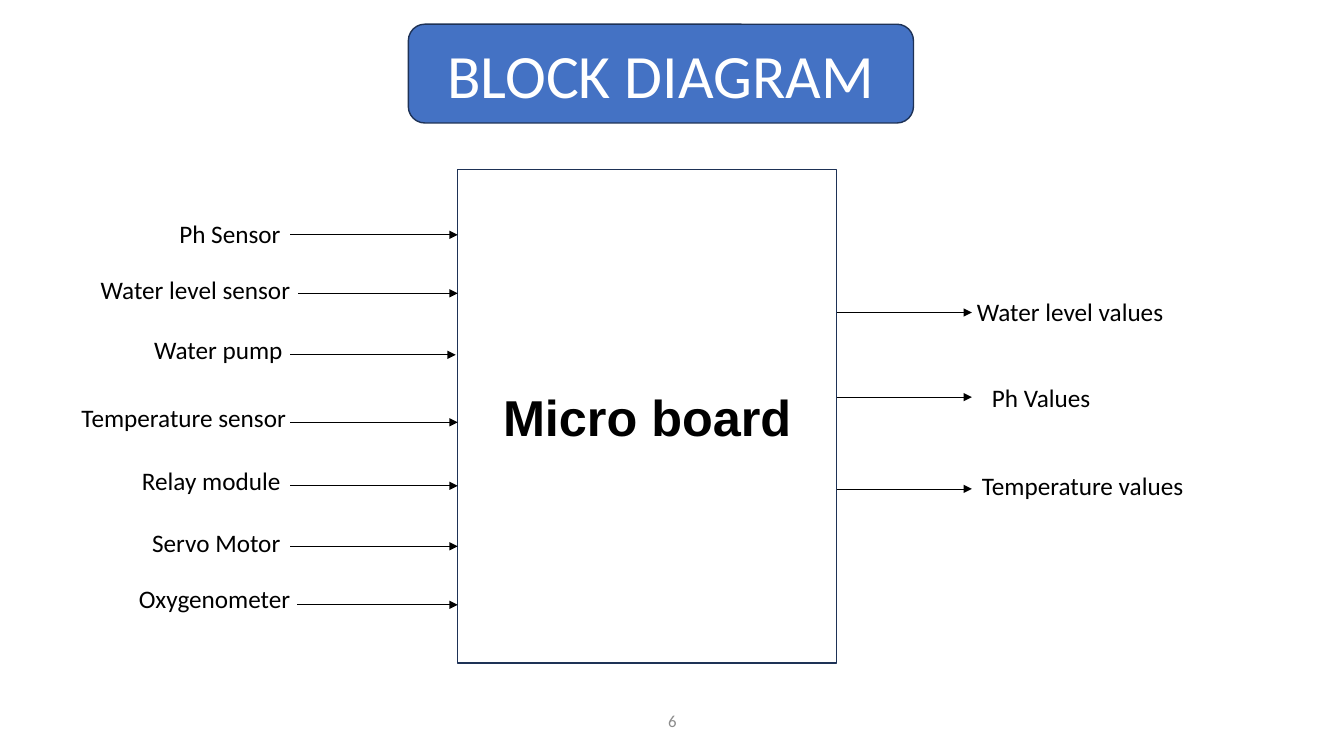
from lxml import etree
from pptx import Presentation
from pptx.dml.color import RGBColor
from pptx.enum import shapes, text
from pptx.oxml.ns import qn
from pptx.util import Inches, Pt

COLORS = {"black": "000000", "white": "FFFFFF", "blue": "4472C4",
          "navy": "1E3256", "gray": "8C8C8C"}

TITLE, BOARD, PAGE = "BLOCK DIAGRAM", "Micro board", "6"
TITLE_BOX = (4.05, 0.24, 5.01, 0.98)
BOARD_BOX = (4.54, 1.68, 3.76, 4.9)
PAGE_BOX = (4.42, 6.95, 4.5, 0.4)
LABEL_H = 0.4
OUTPUT_END = 9.64

# label, left, top, width, arrow start x, arrow end x, arrow y
INPUTS = [
    ("Ph Sensor", 1.68, 2.12, 1.22, 2.88, 4.54, 2.33),
    ("Water level sensor", 0.9, 2.67, 2.1, 2.96, 4.54, 2.91),
    ("Water pump", 1.43, 3.27, 1.49, 2.88, 4.52, 3.52),
    ("Temperature sensor", 0.71, 3.94, 2.25, 2.88, 4.54, 4.19),
    ("Relay module", 1.31, 4.57, 1.59, 2.88, 4.54, 4.82),
    ("Servo Motor", 1.41, 5.18, 1.49, 2.88, 4.54, 5.42),
    ("Oxygenometer", 1.28, 5.74, 1.72, 2.95, 4.54, 6.0),
]
# label, left, top, width, arrow y
OUTPUTS = [
    ("Water level values", 9.59, 2.89, 2.07, 3.1),
    ("Ph Values", 9.74, 3.74, 1.19, 3.94),
    ("Temperature values", 9.64, 4.62, 2.22, 4.85),
]


def rgb(name):
    return RGBColor.from_string(COLORS[name])


def write(sp, words, size, color="black", font="Calibri", bold=False, centered=True):
    tf = sp.text_frame
    p = tf.paragraphs[0]
    p.text = words
    p.font.size, p.font.name, p.font.bold = Pt(size), font, bold
    p.font.color.rgb = rgb(color)
    tf.word_wrap = centered
    if centered:
        p.alignment = text.PP_ALIGN.CENTER
        tf.vertical_anchor = text.MSO_ANCHOR.MIDDLE
    else:
        p.alignment = text.PP_ALIGN.LEFT
        tf.auto_size = text.MSO_AUTO_SIZE.SHAPE_TO_FIT_TEXT


def add_block(s, kind, box, fill):
    sp = s.shapes.add_shape(kind, *map(Inches, box))
    sp.shadow.inherit = False
    sp.fill.solid()
    sp.fill.fore_color.rgb = rgb(fill)
    sp.line.color.rgb = rgb("navy")
    sp.line.width = Pt(1)
    return sp


def add_label(s, words, left, top, width):
    sp = s.shapes.add_textbox(*map(Inches, (left, top, width, LABEL_H)))
    write(sp, words, 18, centered=False)


def add_arrow(s, x1, x2, y):
    cx = s.shapes.add_connector(shapes.MSO_CONNECTOR.STRAIGHT,
                                *map(Inches, (x1, y, x2, y)))
    cx.line.color.rgb = rgb("black")
    cx.line.width = Pt(0.5)
    etree.SubElement(cx.line._get_or_add_ln(), qn("a:tailEnd"), type="triangle")
    etree.SubElement(cx._element.spPr, qn("a:effectLst"))


def main():
    prs = Presentation()
    prs.slide_width, prs.slide_height = Inches(13.33), Inches(7.5)
    s = prs.slides.add_slide(prs.slide_layouts[6])

    board = add_block(s, shapes.MSO_SHAPE.RECTANGLE, BOARD_BOX, "white")
    write(board, BOARD, 36, font="Arial", bold=True)
    title = add_block(s, shapes.MSO_SHAPE.ROUNDED_RECTANGLE, TITLE_BOX, "blue")
    write(title, TITLE, 44, "white")

    for words, left, top, width, start, end, y in INPUTS:
        add_label(s, words, left, top, width)
        add_arrow(s, start, end, y)
    board_right = BOARD_BOX[0] + BOARD_BOX[2]
    for words, left, top, width, y in OUTPUTS:
        add_label(s, words, left, top, width)
        add_arrow(s, board_right, OUTPUT_END, y)

    page = s.shapes.add_textbox(*map(Inches, PAGE_BOX))
    write(page, PAGE, 12, "gray")
    prs.save("out.pptx")


if __name__ == "__main__":
    main()
